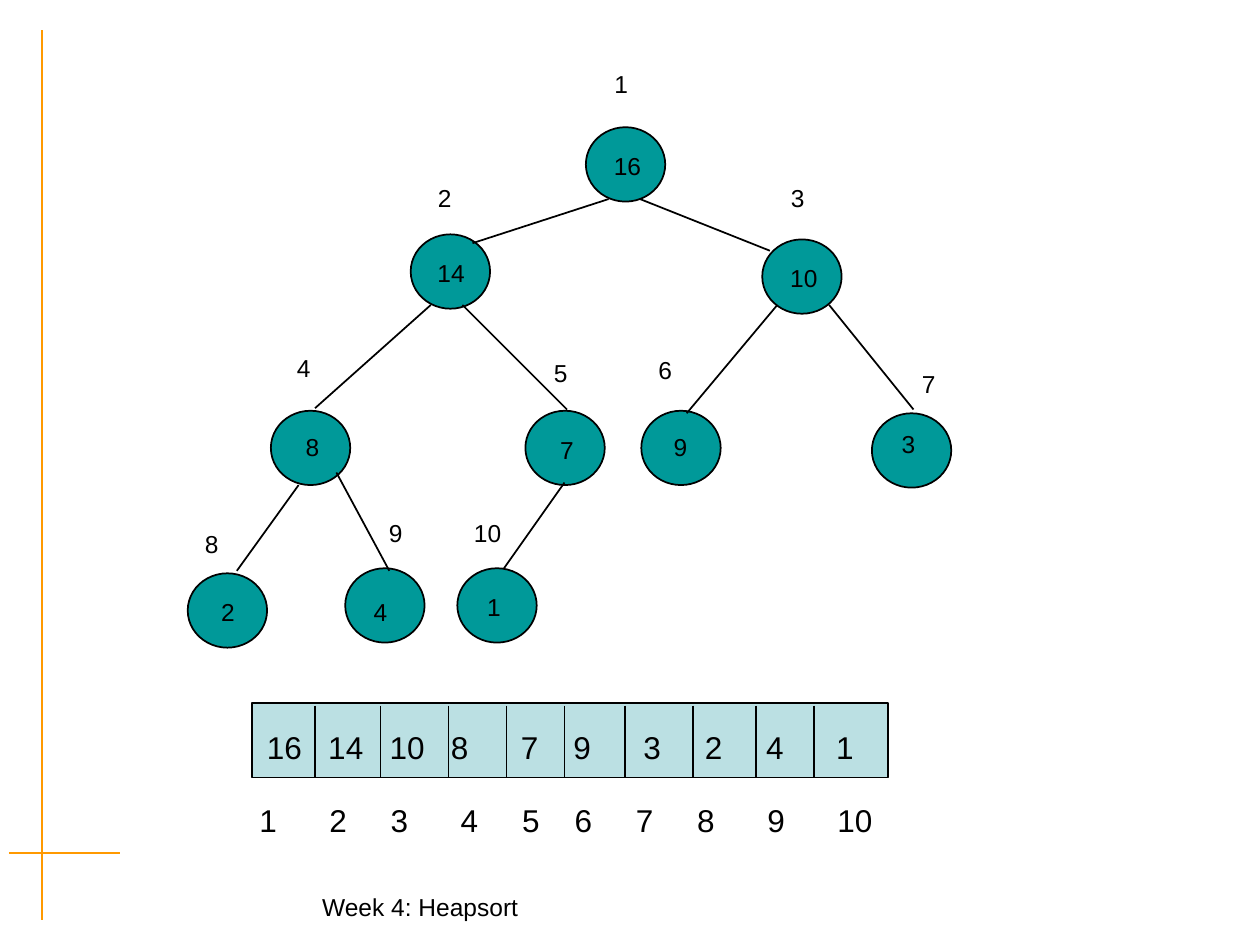
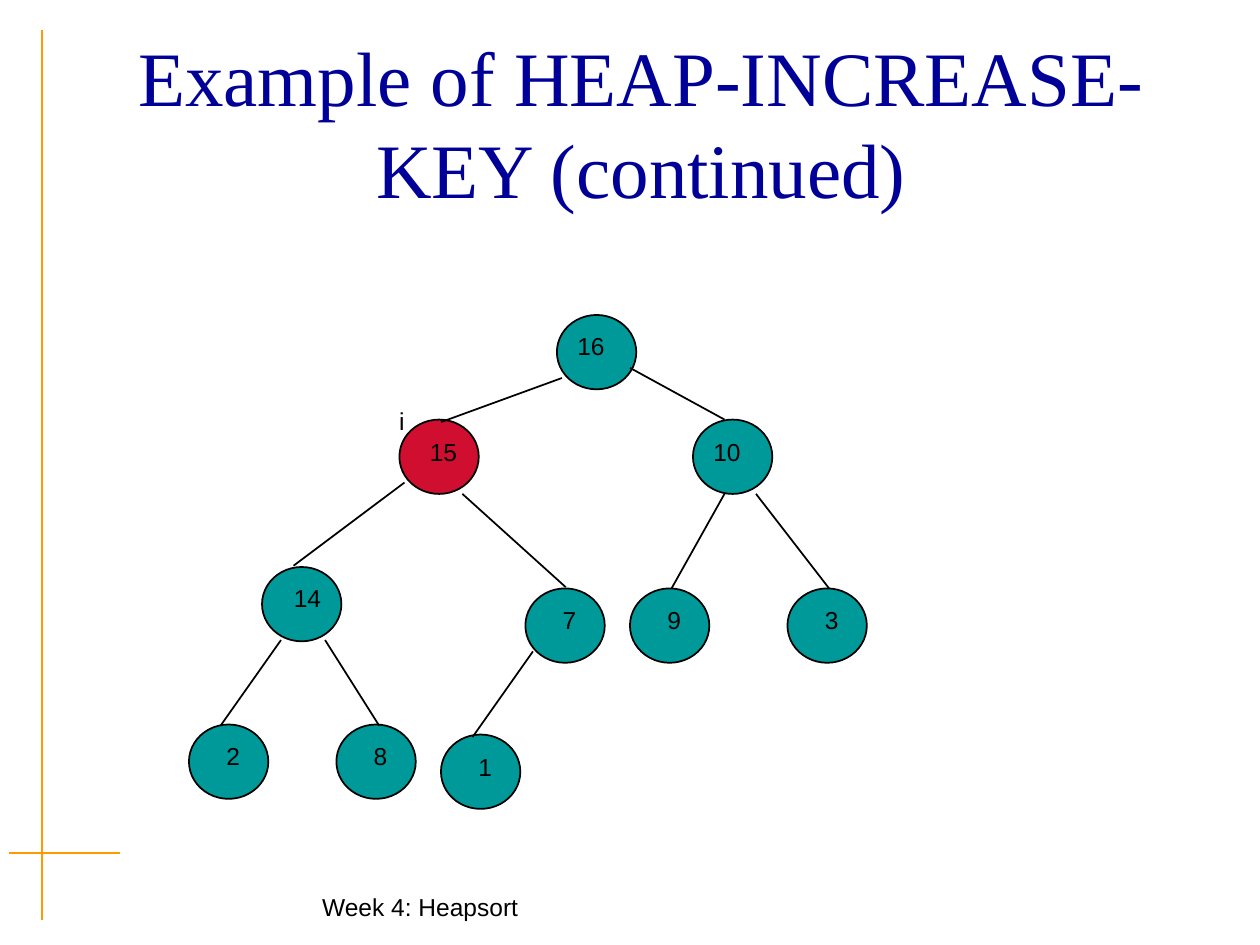
from dataclasses import dataclass
from typing import NamedTuple, Sequence

from lxml.etree import SubElement
from pptx import Presentation
from pptx.dml.color import RGBColor
from pptx.enum.shapes import MSO_CONNECTOR, MSO_SHAPE
from pptx.enum.text import MSO_ANCHOR, MSO_AUTO_SIZE, PP_ALIGN
from pptx.oxml.ns import qn
from pptx.util import Inches, Pt

COLORS = {
    "ink": "000000",
    "rule": "FF9900",
    "title": "000099",
    "node": "009999",
    "changed": "CF0E30",
    "array": "BBE0E3",
}
BODY_FONT, TITLE_FONT = "Arial", "Times New Roman"

# Slide grid: 100 columns by 75 rows
WIDTH, HEIGHT = Inches(10), Inches(7.5)
COLS, ROWS = 100, 75
NODE_W, NODE_H = 6.3, 5.9
VALUE_W, INDEX_W, LABEL_H = 5.4, 4.8, 3.3
SPACE_18PT = 0.0695  # inches taken by one space in 18 pt Arial


def col(n: float) -> int:
    return round(WIDTH * n / COLS)


def row(n: float) -> int:
    return round(HEIGHT * n / ROWS)


def rgb(name: str) -> RGBColor:
    return RGBColor.from_string(COLORS[name])


@dataclass
class Node:
    value: str
    x: float
    y: float
    dx: float  # offset of the value from the node's corner
    dy: float
    color: str = "node"


class Label(NamedTuple):
    text: str
    x: float
    y: float


class Edge(NamedTuple):
    x1: float
    y1: float
    x2: float
    y2: float


@dataclass
class ArrayRow:
    items: Sequence[str]
    stops: Sequence[int]  # start of each later item, in spaces
    x: float
    y: float
    w: float


def add_line(s, e: Edge, color: str = "ink", width: float = 1) -> None:
    c = s.shapes.add_connector(MSO_CONNECTOR.STRAIGHT, col(e.x1), row(e.y1), col(e.x2), row(e.y2))
    c.line.color.rgb = rgb(color)
    c.line.width = Pt(width)
    SubElement(c._element.spPr, qn("a:effectLst"))


def add_box(s, kind: MSO_SHAPE, x: float, y: float, w: float, h: float, color: str) -> None:
    sp = s.shapes.add_shape(kind, col(x), row(y), col(w), row(h))
    sp.shadow.inherit = False
    sp.fill.solid()
    sp.fill.fore_color.rgb = rgb(color)
    sp.line.color.rgb = rgb("ink")
    sp.line.width = Pt(1)


def add_text(s, text: str, x: float, y: float, w: float, h: float, size: float = 14,
             font: str = BODY_FONT, color: str = "ink", before: float = 0,
             align: PP_ALIGN = PP_ALIGN.CENTER, grow: bool = True):
    tf = s.shapes.add_textbox(col(x), row(y), col(w), row(h)).text_frame
    tf.word_wrap = True
    tf.auto_size = MSO_AUTO_SIZE.SHAPE_TO_FIT_TEXT if grow else MSO_AUTO_SIZE.NONE
    p = tf.paragraphs[0]
    p.alignment = align
    p.space_before = Pt(before)
    r = p.add_run()
    r.text = text
    r.font.size = Pt(size)
    r.font.name = font
    r.font.color.rgb = rgb(color)
    return tf


def add_label(s, label: Label, w: float) -> None:
    add_text(s, label.text, label.x, label.y, w, LABEL_H, before=8.8)


def add_tree(s, nodes: Sequence[Node], edges: Sequence[Edge]) -> None:
    for n in nodes:
        add_box(s, MSO_SHAPE.OVAL, n.x, n.y, NODE_W, NODE_H, n.color)
    for e in edges:
        add_line(s, e)
    for n in nodes:
        add_label(s, Label(n.value, n.x + n.dx, n.y + n.dy), VALUE_W)


def add_array_row(s, a: ArrayRow) -> None:
    tf = add_text(s, "\t".join(a.items), a.x, a.y, a.w, 4, size=18, before=11.2,
                  align=PP_ALIGN.LEFT)
    tabs = SubElement(tf.paragraphs[0]._p.get_or_add_pPr(), qn("a:tabLst"))
    for stop in a.stops:
        SubElement(tabs, qn("a:tab"), pos=str(Inches(stop * SPACE_18PT)), algn="l")


def new_slide(prs):
    """Blank slide with the corner rules and the footer."""
    s = prs.slides.add_slide(prs.slide_layouts[6])
    for e in (Edge(3.3, 2.4, 3.3, 73), Edge(0.7, 67.7, 9.5, 67.7)):
        add_line(s, e, "rule", 1.19)
    add_text(s, "Week 4: Heapsort", 8.8, 70.3, 49.1, 3.4)
    return s


# Heap with its array
HEAP_NODES = [
    Node("16", 46.5, 10.1, 0.6, 1.4),
    Node("14", 32.6, 18.6, 0.5, 1.4),
    Node("10", 60.5, 19, 0.6, 1.4),
    Node("8", 21.5, 32.6, 0.6, 1.2),
    Node("7", 41.7, 32.6, 0.6, 1.4),
    Node("9", 50.9, 32.6, 0.4, 1.2),
    Node("3", 69.2, 32.8, 0.2, 0.8),
    Node("2", 14.9, 45.5, 0.5, 1.4),
    Node("4", 27.4, 45.1, 0.1, 1.8),
    Node("1", 36.3, 45.1, 0.2, 1.4),
]
HEAP_EDGES = [
    Edge(48.3, 15.8, 37.5, 19.3), Edge(50.8, 15.8, 61.1, 19.9),
    Edge(34.2, 24.2, 25, 32.4), Edge(36.7, 24.2, 45, 32.5),
    Edge(61.7, 24.2, 54.5, 32.8), Edge(65.8, 24.2, 72.5, 32.5),
    Edge(23.7, 38.5, 18.8, 45.3), Edge(26.7, 37.5, 30.9, 45.3),
    Edge(44.8, 38.3, 40, 45.1),
]
INDEX_SPOTS = [
    (46.9, 5), (32.9, 14), (60.9, 14), (21.7, 27.5), (42.1, 27.9),
    (50.4, 27.7), (71.3, 28.8), (14.4, 41.5), (29, 40.6), (36.3, 40.6),
]
INDEXES = [str(i) for i in range(1, len(HEAP_NODES) + 1)]
DIVIDERS = (25, 30.2, 35.6, 40.2, 44.8, 49.6, 55, 60, 64.6)
ARRAY_ROWS = [
    ArrayRow([n.value for n in HEAP_NODES], (7, 14, 21, 29, 35, 43, 50, 57, 65),
             20.2, 57.3, 48.9),
    ArrayRow(INDEXES, (8, 15, 23, 30, 36, 43, 50, 58, 66), 19.6, 63.1, 53.5),
]

# Heap after the key moved up
RAISED_NODES = [
    Node("16", 44.2, 25, 0, 0.8),
    Node("15", 31.7, 33.3, 0.8, 0.9, "changed"),
    Node("10", 55, 33.3, 0, 0.9),
    Node("14", 20.8, 45, 0.9, 0.8),
    Node("7", 41.7, 46.7, 0.8, 0.8),
    Node("9", 50, 46.7, 0.8, 0.8),
    Node("3", 62.5, 46.7, 0.8, 0.8),
    Node("2", 15, 57.5, 0.8, 0.8),
    Node("8", 26.7, 57.5, 0.8, 0.8),
    Node("1", 35, 58.3, 0.8, 0.9),
]
RAISED_EDGES = [
    Edge(44.6, 30, 35, 33.5), Edge(50, 29.2, 57.5, 33.3),
    Edge(32.1, 38.3, 23.3, 44.9), Edge(36.7, 39.2, 44.9, 46.6),
    Edge(57.5, 39.2, 53.3, 46.7), Edge(60, 39.2, 65.8, 46.7),
    Edge(22.3, 50.8, 17.5, 57.6), Edge(25.8, 50.8, 30.1, 57.6),
    Edge(42.3, 51.7, 37.5, 58.5),
]


def build_heap_slide(prs) -> None:
    s = new_slide(prs)
    add_tree(s, HEAP_NODES, HEAP_EDGES)
    for index, (x, y) in zip(INDEXES, INDEX_SPOTS):
        add_label(s, Label(index, x, y), INDEX_W)
    add_box(s, MSO_SHAPE.RECTANGLE, 20, 55.8, 50.5, 5.9, "array")
    for x in DIVIDERS:
        add_line(s, Edge(x, 56, x, 61.7))
    for a in ARRAY_ROWS:
        add_array_row(s, a)


def build_raised_slide(prs) -> None:
    s = new_slide(prs)
    tf = add_text(s, "Example of HEAP-INCREASE-KEY (continued)", 8.4, 3.4, 85, 12.5,
                  size=44, font=TITLE_FONT, color="title", grow=False)
    tf.vertical_anchor = MSO_ANCHOR.MIDDLE
    add_tree(s, RAISED_NODES, RAISED_EDGES)
    add_label(s, Label("i", 29.2, 31.7), VALUE_W)


def main() -> None:
    prs = Presentation()
    prs.slide_width, prs.slide_height = WIDTH, HEIGHT
    build_heap_slide(prs)
    build_raised_slide(prs)
    prs.save("out.pptx")


if __name__ == "__main__":
    main()
